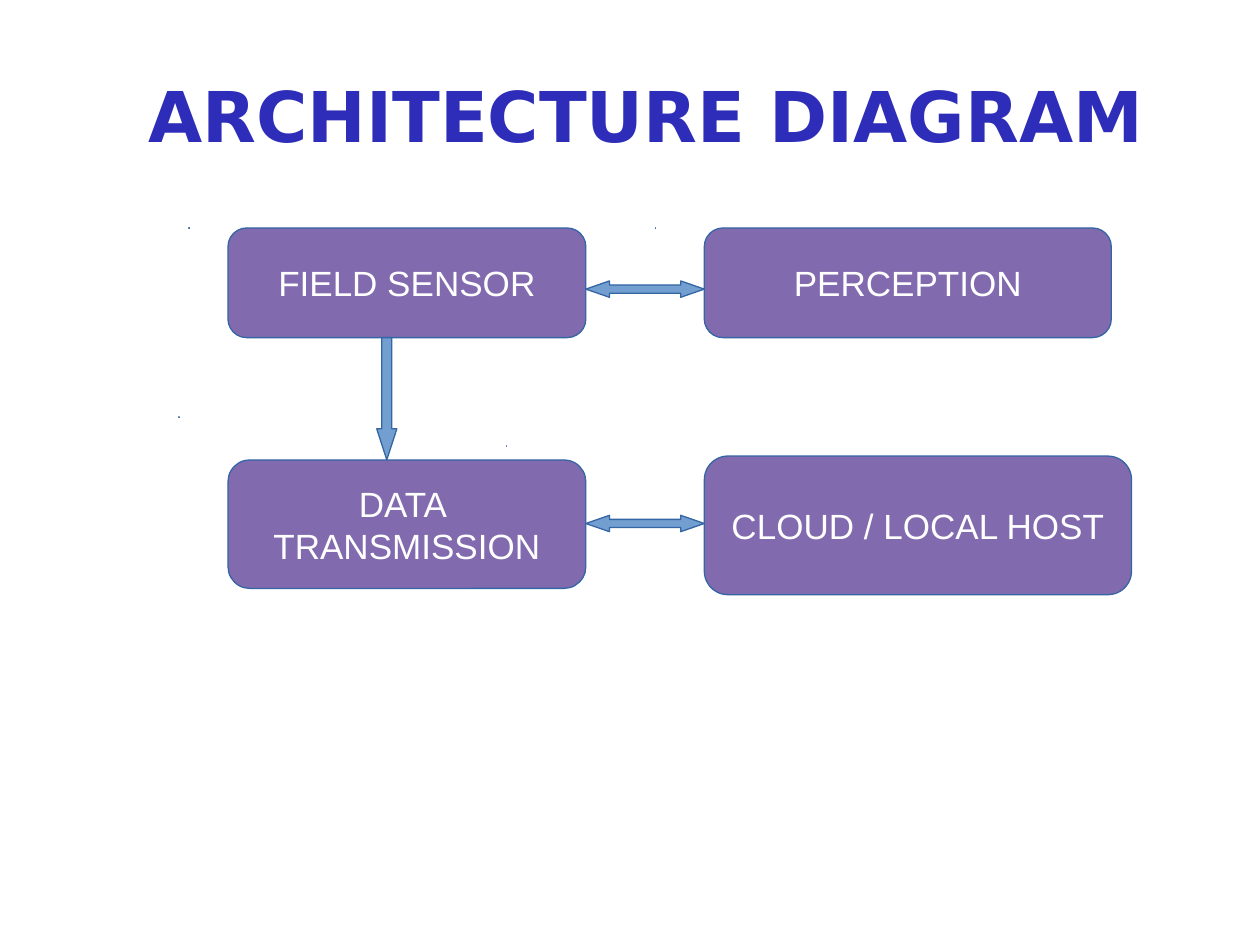
from pptx import Presentation
from pptx.dml.color import RGBColor
from pptx.enum.shapes import MSO_SHAPE
from pptx.enum.text import MSO_ANCHOR, MSO_AUTO_SIZE, PP_ALIGN
from pptx.util import Inches, Pt

COLORS = {
    "title": "2D2DB9",
    "box": "826AAF",
    "arrow": "729FCF",
    "speck": "DDDDDD",
    "outline": "3465A4",
    "label": "FFFFFF",
}
TITLE_FONT = {"name": "DejaVu Sans", "size": Pt(40), "bold": True}
LABEL_FONT = {"name": "Arial", "size": Pt(20), "bold": False}
LEFT, RIGHT, TOP = 1.81, 5.59, 1.81
BOX_WIDTH, BOX_HEIGHT = 2.84, 0.87
GAP = RIGHT - LEFT - BOX_WIDTH
SPECK_SIZE = Pt(0.1)
BOXES = [
    (["FIELD SENSOR"], (LEFT, TOP, BOX_WIDTH, BOX_HEIGHT)),
    (["PERCEPTION"], (RIGHT, TOP, 3.23, BOX_HEIGHT)),
    (["CLOUD / LOCAL HOST"], (RIGHT, 3.62, 3.39, 1.1)),
    (["DATA ", "TRANSMISSION"], (LEFT, 3.65, BOX_WIDTH, 1.02)),
]
ARROWS = [
    (MSO_SHAPE.LEFT_RIGHT_ARROW, (LEFT + BOX_WIDTH, 2.23, GAP, 0.13), 1.44),
    (MSO_SHAPE.LEFT_RIGHT_ARROW, (LEFT + BOX_WIDTH, 4.09, GAP, 0.13), 1.44),
    (MSO_SHAPE.DOWN_ARROW, (2.99, TOP + BOX_HEIGHT, 0.16, 0.97), 1.54),
]
SPECKS = [
    ("arrow", (1.5, 1.81, 2.52, 0.71)),
    ("arrow", (5.2, 1.81, 2.76, 0.71)),
    ("arrow", (1.42, 3.31, 2.6, 0.71)),
    ("speck", (4.02, 2.13, 1.18, 0.11)),
    ("speck", (4.02, 3.54, 1.27, 0.11)),
    ("speck", (2.62, 2.52, 0.14, 0.79)),
]


def set_values(target, values):
    """Set each named attribute on the target."""
    for name, value in values.items():
        setattr(target, name, value)


def write_text(frame, lines, font, color):
    """Fill a text frame with centred, formatted lines."""
    set_values(frame, {"vertical_anchor": MSO_ANCHOR.MIDDLE, "auto_size": MSO_AUTO_SIZE.NONE})
    for index, line in enumerate(lines):
        para = frame.add_paragraph() if index else frame.paragraphs[0]
        para.alignment = PP_ALIGN.CENTER
        span = para.add_run()
        span.text = line
        set_values(span.font, font)
        span.font.color.rgb = RGBColor.from_string(COLORS[color])


def add_title(page, text):
    """Place and format the title placeholder."""
    title = page.shapes.title
    place = {"left": 0.75, "top": 0.52, "width": 8.75, "height": 0.77}
    set_values(title, {name: Inches(value) for name, value in place.items()})
    write_text(title.text_frame, [text], TITLE_FONT, "title")


def paint(shape, fill):
    """Give a shape its fill and thin outline, without a shadow."""
    shape.shadow.inherit = False
    shape.fill.solid()
    shape.fill.fore_color.rgb = RGBColor.from_string(COLORS[fill])
    shape.line.color.rgb = RGBColor.from_string(COLORS["outline"])
    shape.line.width = Pt(0.75)


def add_block(page, kind, place, fill, adjustments):
    """Add a filled and outlined preset shape."""
    block = page.shapes.add_shape(kind, *map(Inches, place))
    paint(block, fill)
    for index, value in enumerate(adjustments):
        block.adjustments[index] = value
    return block


def add_box(page, lines, place):
    """Add a rounded box with its label."""
    box = add_block(page, MSO_SHAPE.ROUNDED_RECTANGLE, place, "box", [0.17])
    box.text_frame.word_wrap = False
    write_text(box.text_frame, lines, LABEL_FONT, "label")


def add_speck(page, place, fill):
    """Add a tiny outline in the top left corner of a larger frame."""
    left, top, width, height = map(Inches, place)
    right, bottom = left + SPECK_SIZE, top + SPECK_SIZE
    builder = page.shapes.build_freeform(left, top)
    builder.add_line_segments([(right, top), (right, bottom), (left, bottom)], close=True)
    speck = builder.convert_to_shape()
    set_values(speck, {"width": width, "height": height})
    for outline in speck.element.xpath(".//a:pathLst/*"):
        outline.set("w", str(width))
        outline.set("h", str(height))
    paint(speck, fill)


def main():
    """Build the architecture slide and save it."""
    deck = Presentation()
    set_values(deck, {"slide_width": Inches(10), "slide_height": Inches(7.5)})
    page = deck.slides.add_slide(deck.slide_layouts[5])
    add_title(page, "ARCHITECTURE DIAGRAM")
    for fill, place in SPECKS:
        add_speck(page, place, fill)
    for lines, place in BOXES:
        add_box(page, lines, place)
    for kind, place, head in ARROWS:
        add_block(page, kind, place, "arrow", [0.5, head])
    deck.save("out.pptx")


if __name__ == "__main__":
    main()
